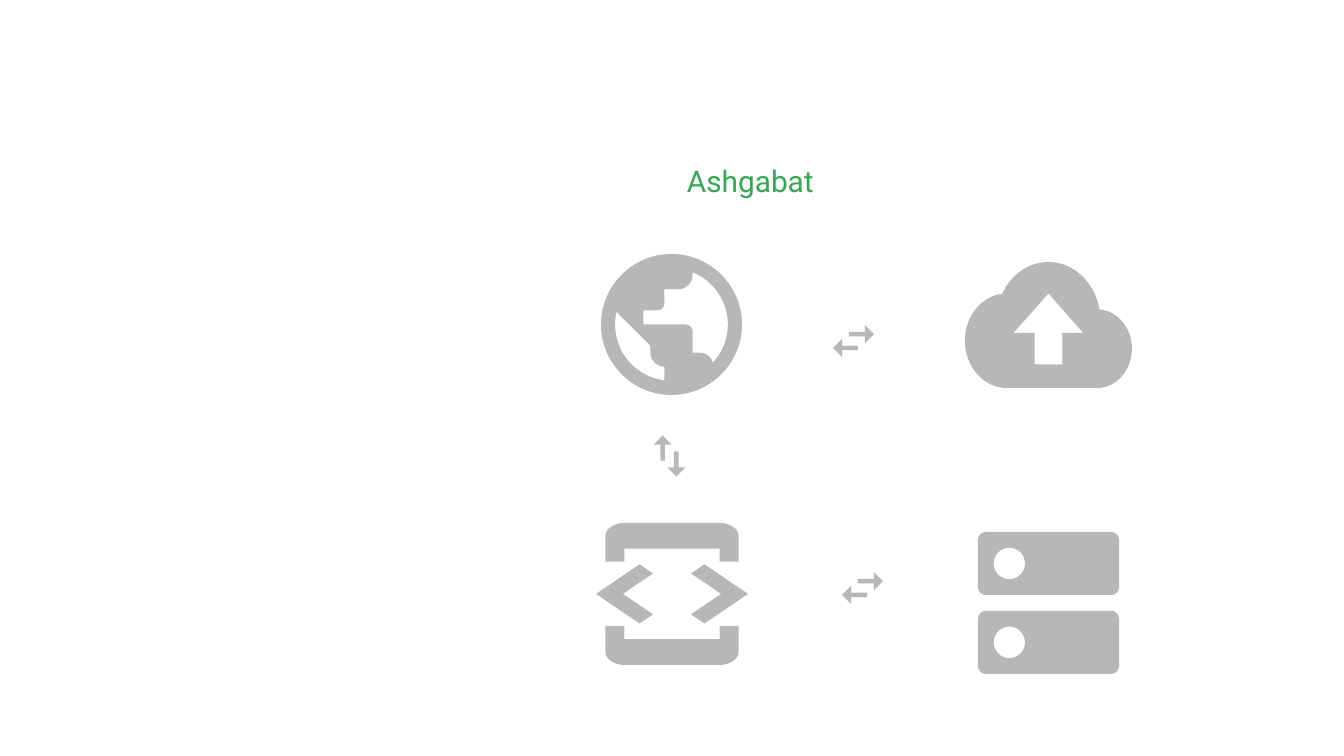
"""Build a slide of linked web, cloud, code and server icons."""
from dataclasses import dataclass

from lxml import etree
from pptx import Presentation
from pptx.dml.color import RGBColor
from pptx.enum.text import MSO_ANCHOR, MSO_AUTO_SIZE, PP_ALIGN
from pptx.oxml.ns import qn
from pptx.util import Pt

TOP = MSO_ANCHOR.TOP
NO_AUTOFIT = MSO_AUTO_SIZE.NONE
LEFT = PP_ALIGN.LEFT
EMU_PER_PX = 914400 / 134.4

Segment = tuple[float, ...]
Contour = list[Segment]


@dataclass(frozen=True)
class Theme:
    """Colours and type of the slide."""
    icon: RGBColor = RGBColor(0xB7, 0xB7, 0xB7)
    label: RGBColor = RGBColor(0x34, 0xA8, 0x53)
    font: str = "Roboto"
    label_size: int = 16


@dataclass(frozen=True)
class Glyph:
    """An outline on its own grid, of points and six-number cubic curves."""
    columns: int
    rows: int
    contours: list[Contour]


@dataclass(frozen=True)
class Icon:
    """A glyph placed on the slide, in px."""
    glyph: Glyph
    left: int
    top: int
    width: int
    height: int
    rotation: int = 0


def px(length: float) -> int:
    """Turn px into EMU."""
    return round(length * EMU_PER_PX)


def circle(x: float, y: float, radius: float) -> Contour:
    """Return a circle of four curves."""
    pull = 0.55 * radius
    left, right, top, bottom = x - radius, x + radius, y - radius, y + radius
    return [
        (x, top),
        (x - pull, top, left, y - pull, left, y),
        (left, y + pull, x - pull, bottom, x, bottom),
        (x + pull, bottom, right, y + pull, right, y),
        (right, y - pull, x + pull, top, x, top),
    ]


def server(y: float) -> list[Contour]:
    """Return one server unit with its round lamp."""
    case = [
        (17, y), (1, y), (0.45, y, 0, y + 0.45, 0, y + 1), (0, y + 7),
        (0, y + 7.55, 0.45, y + 8, 1, y + 8), (17, y + 8),
        (17.55, y + 8, 18, y + 7.55, 18, y + 7), (18, y + 1),
        (18, y + 0.45, 17.55, y, 17, y)]
    return [case, circle(4, y + 4, 2)]


def paired(columns: int, rows: int, *contours: Contour) -> Glyph:
    """Make a glyph of contours and their half-turned twins."""
    twins = [[tuple((rows if index % 2 else columns) - value
                    for index, value in enumerate(segment))
              for segment in contour] for contour in contours]
    return Glyph(columns, rows, [*contours, *twins])


GLOBE = Glyph(20, 20, [
    circle(10, 10, 10),
    [(2, 10), (2, 9.38, 2.08, 8.79, 2.21, 8.21), (7, 13), (7, 14),
     (7, 15.1, 7.9, 16, 9, 16), (9, 17.93), (5.05, 17.44, 2, 14.08, 2, 10)],
    [(15.9, 15.39), (15.64, 14.58, 14.9, 14, 14, 14), (13, 14), (13, 11),
     (13, 10.45, 12.55, 10, 12, 10), (6, 10), (6, 8), (8, 8),
     (8.55, 8, 9, 7.55, 9, 7), (9, 5), (11, 5), (12.1, 5, 13, 4.1, 13, 3),
     (13, 2.59), (15.93, 3.78, 18, 6.65, 18, 10), (18, 12.08, 17.2, 13.97, 15.9, 15.39)],
])
CLOUD = Glyph(24, 16, [
    [(19.35, 6.04), (18.67, 2.59, 15.64, 0, 12, 0), (9.11, 0, 6.6, 1.64, 5.35, 4.04),
     (2.34, 4.36, 0, 6.91, 0, 10), (0, 13.31, 2.69, 16, 6, 16), (19, 16),
     (21.76, 16, 24, 13.76, 24, 11), (24, 8.36, 21.95, 6.22, 19.35, 6.04)],
    [(14, 9), (14, 13), (10, 13), (10, 9), (7, 9), (12, 4), (17, 9)],
])
SWAP = paired(18, 14, [(4, 6), (0, 10), (4, 14), (4, 11), (11, 11), (11, 9), (4, 9)])
SERVERS = Glyph(18, 18, server(10) + server(0))
CODE = paired(
    16, 22,
    [(3, 4), (13, 4), (13, 6), (15, 6), (15, 2), (15, 0.9, 14.1, 0, 13, 0), (3, 0),
     (1.9, 0, 1, 0.9, 1, 2), (1, 6), (3, 6)],
    [(6, 14.17), (2.83, 11), (6, 7.83), (4.59, 6.41), (0, 11), (4.59, 15.59)])

ICONS = [
    Icon(GLOBE, 601, 254, 141, 141),
    Icon(CLOUD, 965, 262, 167, 126),
    Icon(SWAP, 833, 325, 41, 32),
    Icon(SERVERS, 978, 532, 141, 142),
    Icon(SWAP, 649, 440, 41, 32, 270),
    Icon(CODE, 596, 523, 152, 142),
    Icon(SWAP, 842, 572, 41, 32),
]


def curve_segments(shape, contours: list[Contour]) -> None:
    """Turn the three lines of each six-number segment into one cubic curve."""
    steps = iter(list(shape.element.find(".//" + qn("a:path"))))
    for contour in contours:
        for segment in contour:
            step = next(steps)
            if len(segment) == 6:
                curve = etree.Element(qn("a:cubicBezTo"))
                step.addprevious(curve)
                for line in (step, next(steps), next(steps)):
                    curve.append(line[0])
                    line.getparent().remove(line)
        next(steps)


def draw_icon(slide, icon: Icon, theme: Theme) -> None:
    """Draw an icon as one freeform."""
    x_unit = icon.width / icon.glyph.columns
    y_unit = icon.height / icon.glyph.rows
    contours = [[(px(icon.left + x * x_unit), px(icon.top + y * y_unit))
                 for segment in contour
                 for x, y in zip(segment[::2], segment[1::2])]
                for contour in icon.glyph.contours]
    builder = slide.shapes.build_freeform(*contours[0][0])
    builder.add_line_segments(contours[0][1:])
    for contour in contours[1:]:
        builder.move_to(*contour[0])
        builder.add_line_segments(contour[1:])
    shape = builder.convert_to_shape()
    curve_segments(shape, icon.glyph.contours)
    shape.rotation = icon.rotation
    shape.shadow.inherit = False
    shape.fill.solid()
    shape.fill.fore_color.rgb = theme.icon
    shape.line.fill.background()


def set_values(target, values: dict) -> None:
    """Set each named attribute of the target."""
    for name, value in values.items():
        setattr(target, name, value)


def write_label(shape, text: str, theme: Theme) -> None:
    """Place and format the city label."""
    set_values(shape, {"left": px(671), "top": px(157), "width": px(564), "height": px(47)})
    frame = shape.text_frame
    set_values(frame, {
        "text": text, "word_wrap": True, "auto_size": NO_AUTOFIT, "vertical_anchor": TOP,
        "margin_left": 0, "margin_right": 0, "margin_top": 0, "margin_bottom": 0})
    paragraph = frame.paragraphs[0]
    set_values(paragraph, {"alignment": LEFT, "line_spacing": 1.15, "space_before": Pt(0)})
    properties = paragraph._p.get_or_add_pPr()
    properties.set("marL", str(px(67)))
    properties.set("indent", str(px(-51)))
    font = paragraph.runs[0].font
    set_values(font, {"name": theme.font, "size": Pt(theme.label_size)})
    font.color.rgb = theme.label


def main() -> None:
    """Build and save the slide."""
    theme = Theme()
    presentation = Presentation()
    set_values(presentation, {"slide_width": px(1344), "slide_height": px(756)})
    slide = presentation.slides.add_slide(presentation.slide_layouts[0])
    title = slide.shapes.title.element
    title.getparent().remove(title)
    write_label(slide.placeholders[1], "Ashgabat", theme)
    for icon in ICONS:
        draw_icon(slide, icon, theme)
    presentation.save("out.pptx")


if __name__ == "__main__":
    main()
